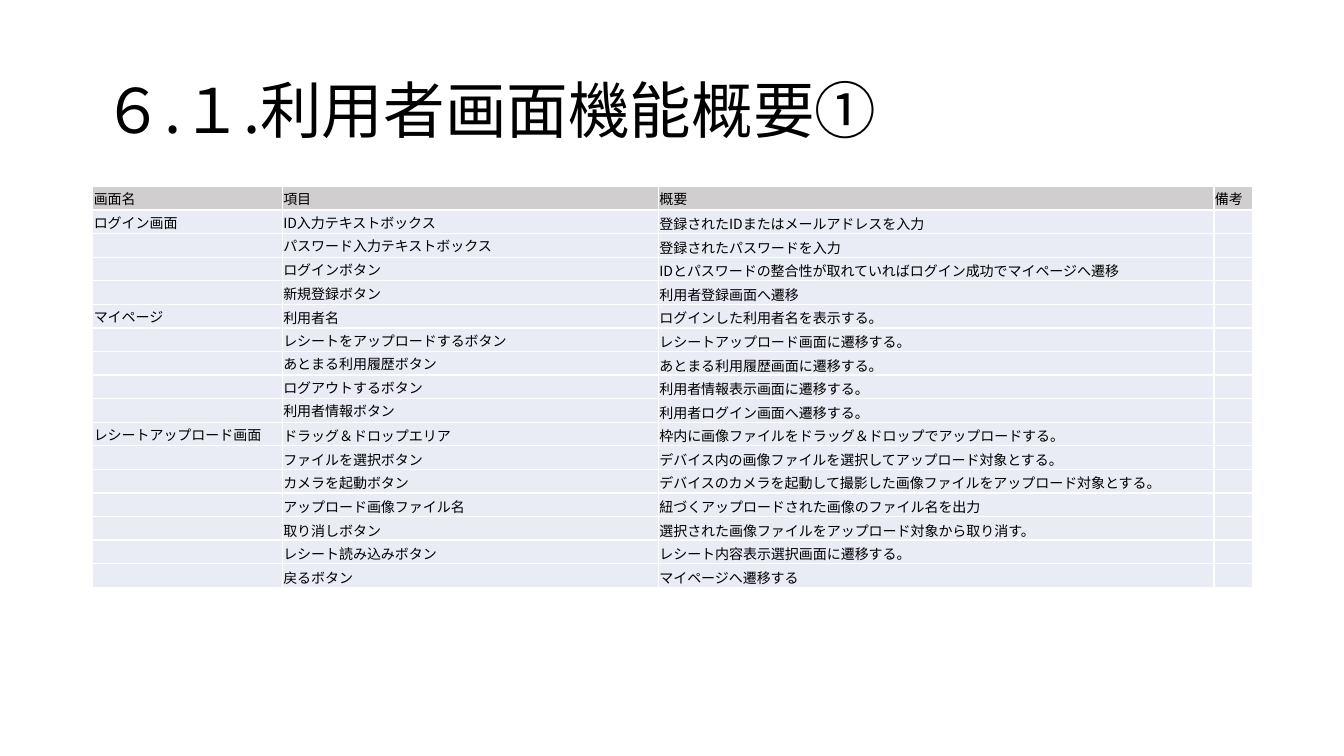
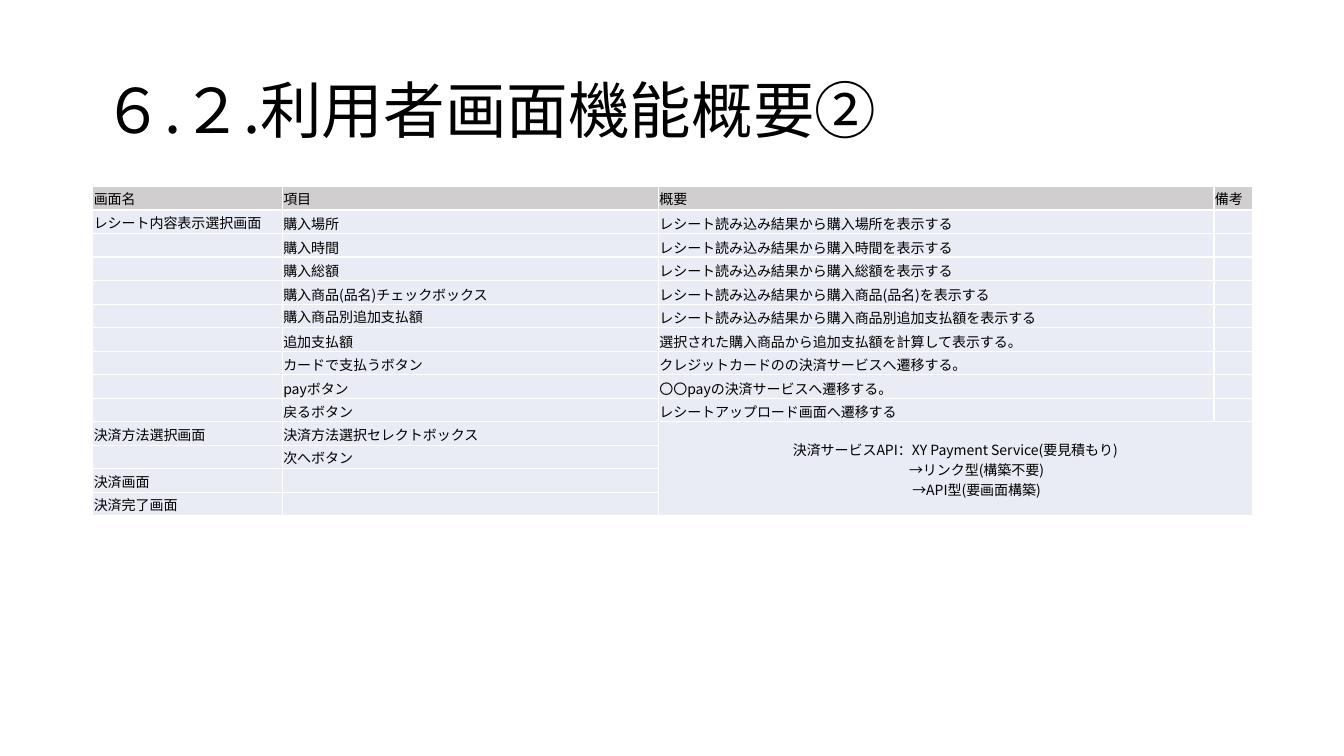
from lxml.etree import SubElement
from pptx import Presentation
from pptx.dml.color import RGBColor
from pptx.enum.text import MSO_ANCHOR as Anchor, PP_ALIGN as Align
from pptx.oxml.ns import qn
from pptx.util import Inches, Pt

FONT = "Noto Sans CJK JP"
COLORS = {"text": "000000", "header": "D0CECE", "body": "E9EBF5", "border": "FFFFFF"}
TITLE_BOX = (0.92, 0.4, 11.5, 1.45)
TABLE_LEFT, TABLE_TOP = 0.92, 1.85
COLUMN_WIDTHS = (1.88, 3.73, 5.51, 0.38)
CELL_SIZE = 10
HEADERS = ("画面名", "項目", "概要", "備考")

USER_SCREENS = [
    ("ログイン画面", "ID入力テキストボックス", "登録されたIDまたはメールアドレスを入力"),
    ("", "パスワード入力テキストボックス", "登録されたパスワードを入力"),
    ("", "ログインボタン", "IDとパスワードの整合性が取れていればログイン成功でマイページへ遷移"),
    ("", "新規登録ボタン", "利用者登録画面へ遷移"),
    ("マイページ", "利用者名", "ログインした利用者名を表示する。"),
    ("", "レシートをアップロードするボタン", "レシートアップロード画面に遷移する。"),
    ("", "あとまる利用履歴ボタン", "あとまる利用履歴画面に遷移する。"),
    ("", "ログアウトするボタン", "利用者情報表示画面に遷移する。"),
    ("", "利用者情報ボタン", "利用者ログイン画面へ遷移する。"),
    ("レシートアップロード画面", "ドラッグ＆ドロップエリア",
     "枠内に画像ファイルをドラッグ＆ドロップでアップロードする。"),
    ("", "ファイルを選択ボタン", "デバイス内の画像ファイルを選択してアップロード対象とする。"),
    ("", "カメラを起動ボタン",
     "デバイスのカメラを起動して撮影した画像ファイルをアップロード対象とする。"),
    ("", "アップロード画像ファイル名", "紐づくアップロードされた画像のファイル名を出力"),
    ("", "取り消しボタン", "選択された画像ファイルをアップロード対象から取り消す。"),
    ("", "レシート読み込みボタン", "レシート内容表示選択画面に遷移する。"),
    ("", "戻るボタン", "マイページへ遷移する"),
]
PAYMENT_SCREENS = [
    ("レシート内容表示選択画面", "購入場所", "レシート読み込み結果から購入場所を表示する"),
    ("", "購入時間", "レシート読み込み結果から購入時間を表示する"),
    ("", "購入総額", "レシート読み込み結果から購入総額を表示する"),
    ("", "購入商品(品名)チェックボックス", "レシート読み込み結果から購入商品(品名)を表示する"),
    ("", "購入商品別追加支払額", "レシート読み込み結果から購入商品別追加支払額を表示する"),
    ("", "追加支払額", "選択された購入商品から追加支払額を計算して表示する。"),
    ("", "カードで支払うボタン", "クレジットカードのの決済サービスへ遷移する。"),
    ("", "payボタン", "〇〇payの決済サービスへ遷移する。"),
    ("", "戻るボタン", "レシートアップロード画面へ遷移する"),
    ("決済方法選択画面", "決済方法選択セレクトボックス", ""),
    ("", "次へボタン", ""),
    ("決済画面", "", ""),
    ("決済完了画面", "", ""),
]
PAYMENT_NOTE = ("決済サービスAPI：XY Payment Service(要見積もり)",
                "→リンク型(構築不要)", "→API型(要画面構築)")
PAYMENT_NOTE_ROW = 10


def write_text(paragraph, text, size=CELL_SIZE, align=Align.LEFT, line_spacing=None, indent=0):
    paragraph.alignment = align
    if line_spacing:
        paragraph.line_spacing = line_spacing
    if indent:
        properties = paragraph._p.get_or_add_pPr()
        properties.set("marL", str(Inches(indent)))
        properties.set("indent", "0")
    if not text:
        SubElement(paragraph._p, qn("a:endParaRPr"), sz=str(size * 100))
        return
    run = paragraph.add_run()
    run.text = text
    run.font.size = Pt(size)
    run.font.bold = False
    run.font.name = FONT
    run.font.color.rgb = RGBColor.from_string(COLORS["text"])
    SubElement(run._r.get_or_add_rPr(), qn("a:ea"), typeface=FONT)


def add_title(slide, text, box):
    frame = slide.shapes.add_textbox(*map(Inches, box)).text_frame
    frame.word_wrap = True
    frame.vertical_anchor = Anchor.MIDDLE
    write_text(frame.paragraphs[0], text, size=44, line_spacing=0.9)


def format_cell(cell, fill, anchor):
    cell.margin_left = cell.margin_top = cell.margin_right = Inches(0.01)
    cell.margin_bottom = 0
    cell.vertical_anchor = anchor
    properties = cell._tc.get_or_add_tcPr()
    for side in ("lnL", "lnR", "lnT", "lnB"):
        line = SubElement(properties, qn(f"a:{side}"), w=str(Pt(1)))
        solid = SubElement(line, qn("a:solidFill"))
        SubElement(solid, qn("a:srgbClr"), val=COLORS["border"])
    cell.fill.solid()
    cell.fill.fore_color.rgb = RGBColor.from_string(COLORS[fill])


def add_function_table(slide, rows, left, top, height, middle_rows):
    records = [HEADERS] + [(*row, "") for row in rows]
    table = slide.shapes.add_table(
        len(records), len(HEADERS), Inches(left), Inches(top),
        Inches(sum(COLUMN_WIDTHS)), Inches(height)).table
    table.first_row = table.horz_banding = False
    for column, width in zip(table.columns, COLUMN_WIDTHS):
        column.width = Inches(width)
    for row_index, record in enumerate(records):
        table.rows[row_index].height = int(Inches(height) / len(records))
        for column_index, text in enumerate(record):
            middle = (row_index == 0 or column_index == 0
                      or column_index == 1 and row_index in middle_rows)
            cell = table.cell(row_index, column_index)
            format_cell(cell, "body" if row_index else "header",
                        Anchor.MIDDLE if middle else Anchor.BOTTOM)
            write_text(cell.text_frame.paragraphs[0], text)
    return table


def add_payment_note(table, first_row):
    cell = table.cell(first_row, 2)
    cell.merge(table.cell(len(table.rows) - 1, 3))
    cell.vertical_anchor = Anchor.MIDDLE
    frame = cell.text_frame
    frame.clear()
    for index, text in enumerate(PAYMENT_NOTE):
        paragraph = frame.add_paragraph() if index else frame.paragraphs[0]
        write_text(paragraph, text, align=Align.CENTER, indent=0.42 if index else 0)


def add_function_slide(presentation, title, rows, height, middle_rows):
    slide = presentation.slides.add_slide(presentation.slide_layouts[6])
    add_title(slide, title, TITLE_BOX)
    return add_function_table(slide, rows, TABLE_LEFT, TABLE_TOP, height, middle_rows)


def main():
    presentation = Presentation()
    presentation.slide_width = Inches(13.33)
    presentation.slide_height = Inches(7.5)
    add_function_slide(presentation, "６.１.利用者画面機能概要①", USER_SCREENS,
                       3.98, (1, 2, 3, 4, 6, 7, 8, 9))
    table = add_function_slide(presentation, "６.２.利用者画面機能概要②", PAYMENT_SCREENS,
                               3.27, (5, 10, 11))
    add_payment_note(table, PAYMENT_NOTE_ROW)
    presentation.save("out.pptx")


if __name__ == "__main__":
    main()
